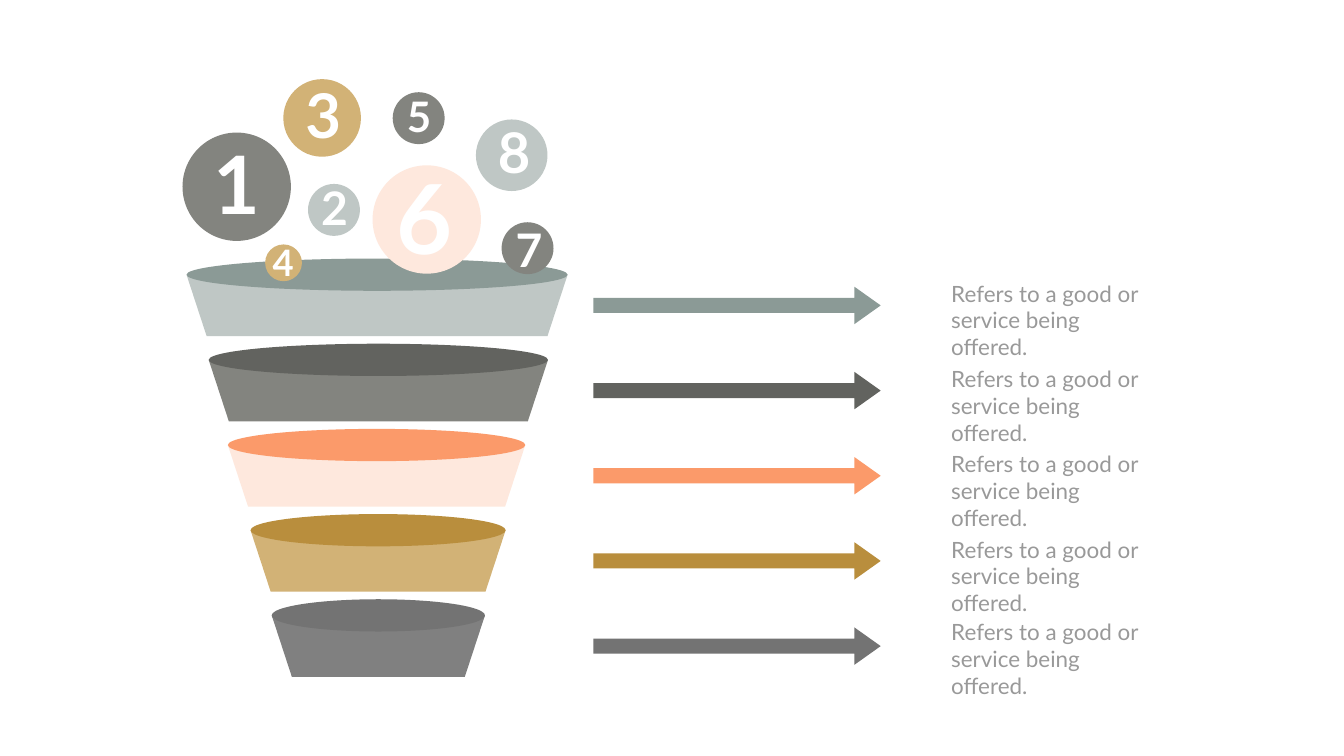
"""Build a five-level funnel slide with numbered balls and labelled arrows."""
from pptx import Presentation
from pptx.dml.color import RGBColor
from pptx.enum.shapes import MSO_SHAPE as Preset
from pptx.enum.text import MSO_AUTO_SIZE as AutoSize
from pptx.util import Inches, Pt

LABEL = ["Refers to a good or", "service being offered."]

# left, width, rim colour, body colour, label top
BANDS = [
    (3.7, 7.56, "8B9A96", "BFC7C5", 5.5),
    (4.14, 6.73, "62635F", "83847F", 7.2),
    (4.52, 5.9, "FB9A6A", "FEE8DD", 8.89),
    (4.97, 5.06, "B98E3D", "D2B276", 10.58),
    (5.39, 4.23, "737373", "808080", 12.21),
]
# digit, ball left, ball top, diameter, colour, digit left, digit top, size
BALLS = [
    ("1", 3.62, 2.63, 2.15, "83847F", 4.14, 2.61, 115),
    ("6", 7.39, 3.28, 2.15, "FEE8DD", 7.76, 3.09, 138),
    ("2", 6.11, 3.65, 1.03, "BFC7C5", 6.27, 3.51, 66),
    ("3", 5.62, 1.57, 1.54, "D2B276", 5.96, 1.48, 88),
    ("4", 5.26, 4.85, 0.73, "D2B276", 5.31, 4.71, 52),
    ("5", 7.79, 1.83, 1.03, "83847F", 7.97, 1.75, 60),
    ("7", 9.95, 4.41, 1.03, "83847F", 10.13, 4.35, 66),
    ("8", 9.44, 2.37, 1.42, "BFC7C5", 9.78, 2.28, 80),
]
FIRST_RIM, PITCH = 5.13, 1.69
RIM_HEIGHT, BODY_HEIGHT, BODY_INSET = 0.64, 1.22, 0.4
ARROW_LEFT, ARROW_WIDTH, ARROW_HEIGHT = 11.77, 5.7, 0.74
SHAFT_HEIGHT, HEAD_LENGTH = 0.3, 0.52


def paint(shape, colour):
    shape.fill.solid()
    shape.fill.fore_color.rgb = RGBColor.from_string(colour)
    shape.line.fill.background()
    shape.shadow.inherit = False


def add_preset(page, preset, left, top, width, height, colour):
    shape = page.shapes.add_shape(preset, *map(Inches, (left, top, width, height)))
    paint(shape, colour)
    return shape


def add_body(page, left, top, width, colour):
    right, bottom = left + width, top + BODY_HEIGHT
    builder = page.shapes.build_freeform(Inches(left), Inches(top))
    corners = [(right, top), (right - BODY_INSET, bottom), (left + BODY_INSET, bottom)]
    builder.add_line_segments([(Inches(x), Inches(y)) for x, y in corners])
    paint(builder.convert_to_shape(), colour)


def add_text(page, lines, left, top, width, height, size, colour, bold=False):
    box = page.shapes.add_textbox(*map(Inches, (left, top, width, height)))
    frame = box.text_frame
    frame.word_wrap = True
    frame.auto_size = AutoSize.SHAPE_TO_FIT_TEXT
    frame.text = "\n".join(lines)
    for para in frame.paragraphs:
        para.font.name = "Lato"
        para.font.size = Pt(size)
        para.font.bold = bold
        para.font.color.rgb = RGBColor.from_string(colour)


def main():
    deck = Presentation()
    deck.slide_width, deck.slide_height = Inches(26.66), Inches(15)
    page = deck.slides.add_slide(deck.slide_layouts[6])

    for row, (left, width, rim_colour, body_colour, label_top) in enumerate(BANDS):
        top = FIRST_RIM + row * PITCH
        add_body(page, left, top + RIM_HEIGHT / 2, width, body_colour)
        add_preset(page, Preset.OVAL, left, top, width, RIM_HEIGHT, rim_colour)
        arrow = add_preset(page, Preset.RIGHT_ARROW, ARROW_LEFT, top + 0.56,
                           ARROW_WIDTH, ARROW_HEIGHT, rim_colour)
        arrow.adjustments[0] = SHAFT_HEIGHT / ARROW_HEIGHT
        arrow.adjustments[1] = HEAD_LENGTH / ARROW_HEIGHT
        add_text(page, LABEL, 18.77, label_top, 4.18, 1.11, 32, "999999")

    for _, left, top, diameter, colour, *_ in BALLS:
        add_preset(page, Preset.OVAL, left, top, diameter, diameter, colour)
    for digit, *_, left, top, size in BALLS:
        width, height = 0.58 * size / 72 + 0.21, 1.2 * size / 72 + 0.1
        add_text(page, [digit], left, top, width, height, size, "FFFFFF", bold=True)

    deck.save("out.pptx")


if __name__ == "__main__":
    main()
